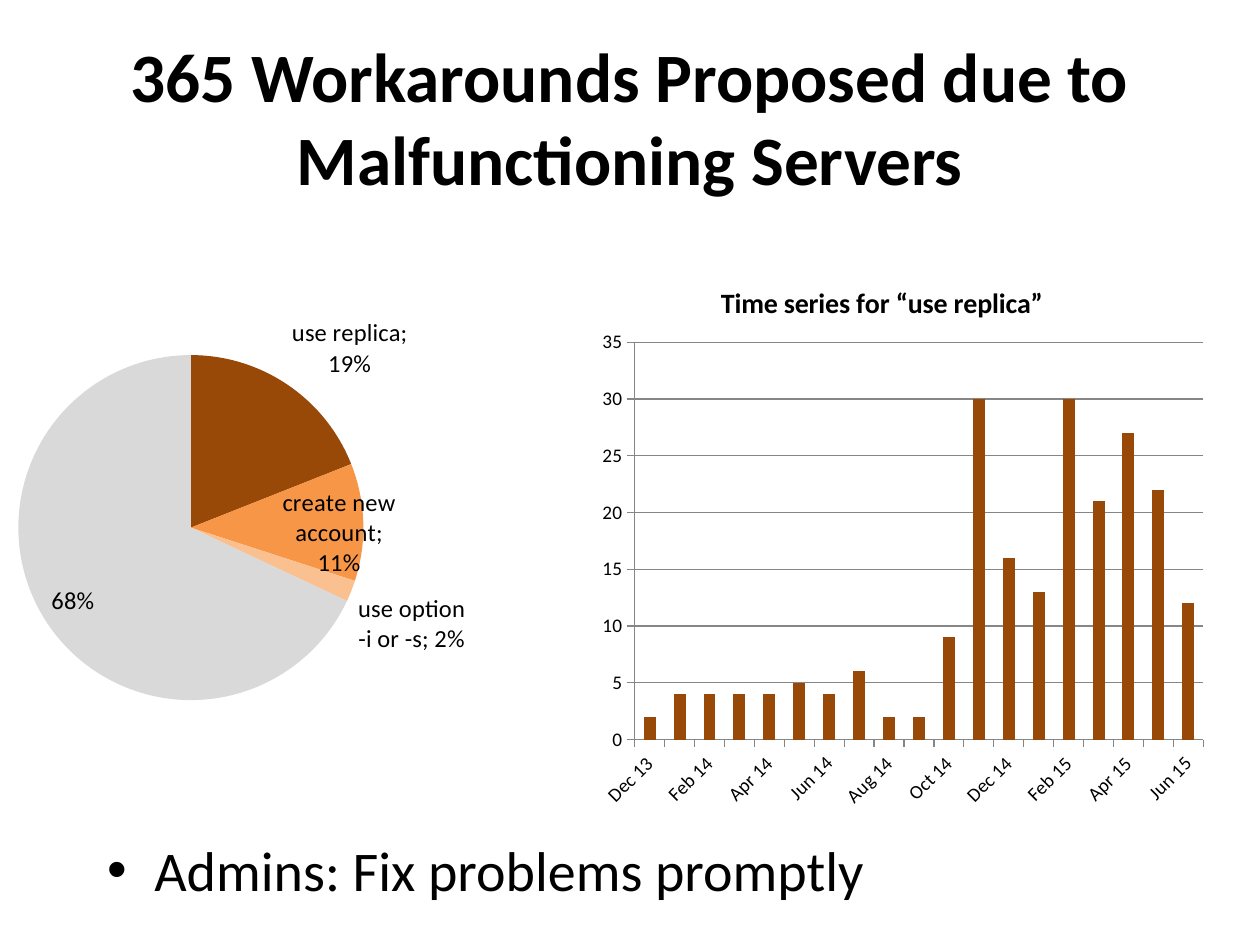
"""Build a slide on workarounds proposed for malfunctioning servers."""
from typing import NamedTuple

from lxml.etree import SubElement
from pptx import Presentation
from pptx.chart.data import CategoryChartData
from pptx.dml.color import RGBColor
from pptx.enum.chart import XL_CHART_TYPE, XL_LABEL_POSITION, XL_TICK_MARK
from pptx.enum.text import MSO_ANCHOR, MSO_AUTO_SIZE, PP_ALIGN
from pptx.oxml.ns import qn
from pptx.util import Inches, Pt

BLACK, BROWN, GRID_GREY = "000000", "984807", "868686"
FONT = "Calibri"


class Box(NamedTuple):
    left: float
    top: float
    width: float
    height: float

    def emu(self) -> tuple:
        return tuple(Inches(length) for length in self)


class Slice(NamedTuple):
    name: str
    share: float
    color: str


SLICES = [
    Slice("use replica", 0.19, BROWN),
    Slice("create new account", 0.11, "F79646"),
    Slice("use option -i or -s", 0.02, "FAC090"),
    Slice("", 0.68, "D9D9D9"),
]
MONTH_NAMES = "Jan Feb Mar Apr May Jun Jul Aug Sep Oct Nov Dec".split()
REPLICA_COUNTS = [2, 4, 4, 4, 4, 5, 4, 6, 2, 2, 9, 30, 16, 13, 30, 21, 27, 22, 12]
MONTHS = [f"{MONTH_NAMES[i % 12]} {13 + i // 12}" for i in range(11, 11 + len(REPLICA_COUNTS))]


def rgb(value: str) -> RGBColor:
    return RGBColor.from_string(value)


def style_font(font, size: float, bold: bool = False) -> None:
    font.name, font.size, font.bold = FONT, Pt(size), bold
    font.color.rgb = rgb(BLACK)


def fill_placeholder(placeholder, box: Box, text: str, size: float, bold: bool = False):
    placeholder.left, placeholder.top, placeholder.width, placeholder.height = box.emu()
    frame = placeholder.text_frame
    frame.text = text
    frame.auto_size = MSO_AUTO_SIZE.NONE
    style_font(frame.paragraphs[0].font, size, bold)
    return frame


def set_layout(parent, position: int, **settings) -> None:
    """Replace the manual layout of a chart part."""
    layout = parent.find(qn("c:layout"))
    if layout is not None:
        parent.remove(layout)
    layout = SubElement(parent, qn("c:layout"))
    parent.insert(position, layout)
    manual = SubElement(layout, qn("c:manualLayout"))
    for tag, value in settings.items():
        SubElement(manual, qn(f"c:{tag}")).set("val", str(value))


def place_plot(chart, share: Box) -> None:
    set_layout(chart._chartSpace.chart.plotArea, 0, layoutTarget="inner",
               xMode="edge", yMode="edge",
               x=share.left, y=share.top, w=share.width, h=share.height)


def add_separator(labels) -> None:
    separator = SubElement(labels, qn("c:separator"))
    separator.text = "; "
    labels.find(qn("c:showBubbleSize")).addnext(separator)


def add_chart(slide, kind, box: Box, names: list, values: list, number_format: str):
    data = CategoryChartData(number_format=number_format)
    data.categories = names
    data.add_series("Series 1", values)
    chart = slide.shapes.add_chart(kind, *box.emu(), data).chart
    chart.has_legend = False
    style_font(chart.font, 10)
    return chart


def add_pie(slide) -> None:
    chart = add_chart(slide, XL_CHART_TYPE.PIE, Box(-0.51, 2.1, 5, 4.49),
                      [s.name for s in SLICES], [s.share for s in SLICES], "0%")
    chart.has_title = False
    place_plot(chart, Box(0.13, 0.16, 0.55, 0.61))
    workarounds = chart.plots[0].series[0]
    for point_index, part in enumerate(SLICES):
        fill = workarounds.points[point_index].format.fill
        fill.solid()
        fill.fore_color.rgb = rgb(part.color)

    labels = workarounds.data_labels
    labels.show_value = labels.show_category_name = True
    labels.number_format, labels.number_format_is_linked = "0%", False
    labels.position = XL_LABEL_POSITION.OUTSIDE_END
    style_font(labels.font, 14)
    add_separator(labels._element)

    for point_index, position in ((1, XL_LABEL_POSITION.OUTSIDE_END),
                                  (3, XL_LABEL_POSITION.INSIDE_END)):
        label = workarounds.points[point_index].data_label
        style_font(label.font, 14)
        label.position = position
    account = labels._element.findall(qn("c:dLbl"))[0]
    account.find(qn("c:showCatName")).set("val", "1")
    add_separator(account)
    set_layout(account, 1, x=-0.14, y=0.02)


def add_time_series(slide) -> None:
    chart = add_chart(slide, XL_CHART_TYPE.COLUMN_CLUSTERED, Box(4.69, 1.94, 4.96, 4.57),
                      MONTHS, REPLICA_COUNTS, "General")
    place_plot(chart, Box(0.07, 0.17, 0.91, 0.69))
    heading = chart.chart_title
    heading.text_frame.text = "Time series for “use replica”"
    style_font(heading.text_frame.paragraphs[0].font, 16, True)
    set_layout(heading._element, 1, xMode="edge", yMode="edge", x=0.2, y=0.06)

    plot = chart.plots[0]
    plot.gap_width, plot.vary_by_categories = 150, False
    fill = plot.series[0].format.fill
    fill.solid()
    fill.fore_color.rgb = rgb(BROWN)

    months, counts = chart.category_axis, chart.value_axis
    counts.minimum_scale, counts.maximum_scale, counts.major_unit = 0, 35, 5
    counts.has_major_gridlines = True
    for axis in (months, counts):
        axis.major_tick_mark = XL_TICK_MARK.OUTSIDE
        style_font(axis.tick_labels.font, 11)
    for line in (months.format.line, counts.format.line, counts.major_gridlines.format.line):
        line.color.rgb, line.width = rgb(GRID_GREY), Pt(0.75)
    months._element.find(qn("c:txPr")).find(qn("a:bodyPr")).set("rot", "-2700000")


def main() -> None:
    deck = Presentation()
    deck.slide_width, deck.slide_height = Inches(10), Inches(7.5)
    slide = deck.slides.add_slide(deck.slide_layouts[1])
    title = fill_placeholder(slide.shapes.title, Box(0.5, 0.3, 9, 1.25),
                             "365 Workarounds Proposed due to Malfunctioning Servers", 39.6, True)
    title.vertical_anchor = MSO_ANCHOR.MIDDLE
    title.paragraphs[0].alignment = PP_ALIGN.CENTER
    add_pie(slide)
    add_time_series(slide)
    fill_placeholder(slide.placeholders[1], Box(0.75, 6.58, 8.52, 0.82),
                     "Admins: Fix problems promptly", 32)
    deck.save("out.pptx")


main()
